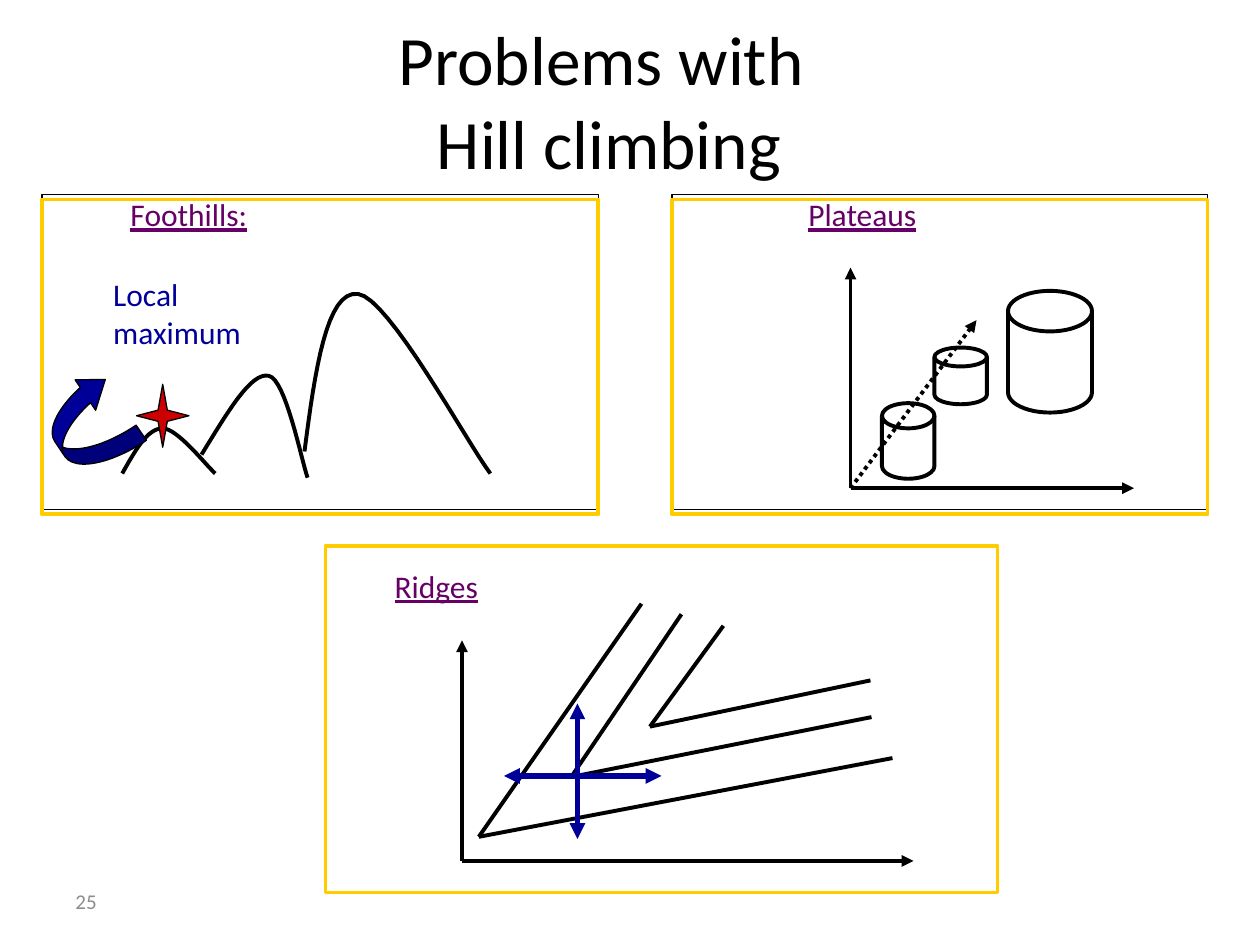
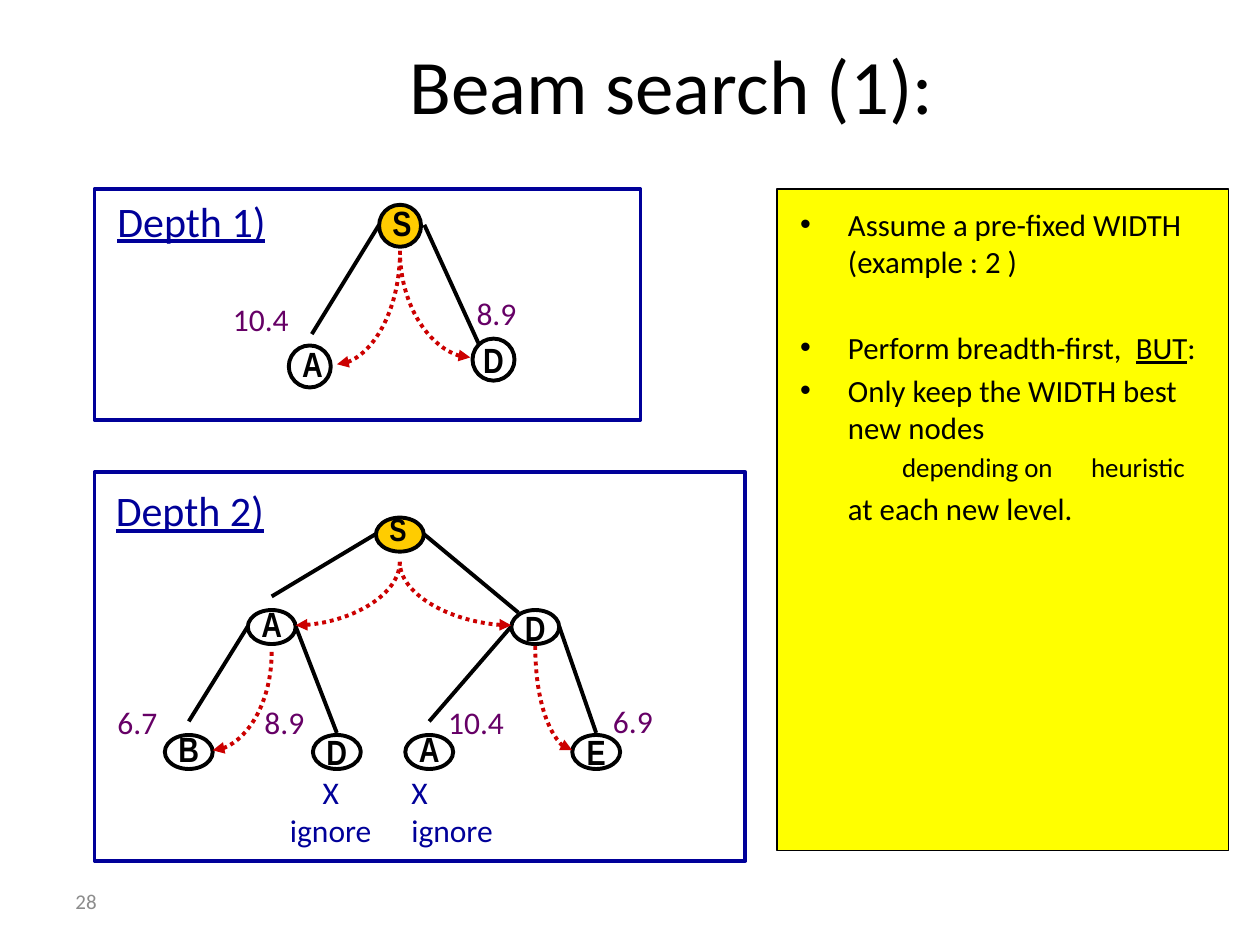
from dataclasses import dataclass

from pptx import Presentation
from pptx.dml.color import RGBColor
from pptx.enum.dml import MSO_LINE
from pptx.enum.shapes import MSO_CONNECTOR, MSO_SHAPE
from pptx.enum.text import MSO_ANCHOR, MSO_AUTO_SIZE, PP_ALIGN
from pptx.oxml.ns import qn
from pptx.util import Inches, Pt
from lxml import etree

RECT, OVAL = MSO_SHAPE.RECTANGLE, MSO_SHAPE.OVAL
STAR, DISK = MSO_SHAPE.STAR_4_POINT, MSO_SHAPE.FLOWCHART_MAGNETIC_DISK
CURVED_ARROW = MSO_SHAPE.CURVED_DOWN_ARROW
STRAIGHT, CURVE = MSO_CONNECTOR.STRAIGHT, MSO_CONNECTOR.CURVE
DOTTED = MSO_LINE.ROUND_DOT
LEFT, CENTER = PP_ALIGN.LEFT, PP_ALIGN.CENTER
MIDDLE, TOP = MSO_ANCHOR.MIDDLE, MSO_ANCHOR.TOP
TITLE_AND_BODY, TITLE_ONLY = 1, 5
CELL = Inches(1) / 12  # the slide is 120 columns by 90 rows


@dataclass(frozen=True)
class Theme:
    font: str = "Calibri"
    node_font: str = "Arial Narrow"
    black: str = "000000"
    white: str = "FFFFFF"
    gray: str = "8C8C8C"
    purple: str = "660066"
    navy: str = "000099"
    red: str = "CC0000"
    gold: str = "FFCC00"
    yellow: str = "FFFF00"
    thin: float = 0.75
    medium: float = 2.25
    thick: float = 3
    number: float = 12
    label: float = 18
    node: float = 20
    heading: float = 24
    body: float = 17.6
    sub_body: float = 15.4


THEME = Theme()


@dataclass(frozen=True)
class Box:
    """A rectangle measured in grid cells."""
    left: float
    top: float
    width: float
    height: float

    def inner(self, left, top, width, height):
        return Box(self.left + left, self.top + top, width, height)

    def point(self, column, row):
        return self.left + column, self.top + row

    def share(self, across, down):
        return self.left + across * self.width, self.top + down * self.height

    def emu(self):
        return cells(self.left, self.top, self.width, self.height)


def cells(*counts):
    return [round(count * CELL) for count in counts]


def color(code):
    return RGBColor.from_string(code)


def style_font(para, size, code, font=THEME.font, bold=False, underline=False):
    for span in para.runs:
        span.font.size, span.font.name = Pt(size), font
        span.font.color.rgb = color(code)
        span.font.bold, span.font.underline = bold, underline


def add_label(page, box, text, size=THEME.label, code=THEME.purple,
              align=LEFT, anchor=TOP, **font_style):
    frame = page.shapes.add_textbox(*box.emu()).text_frame
    frame.word_wrap, frame.vertical_anchor = True, anchor
    frame.text = text
    for para in frame.paragraphs:
        para.alignment = align
        style_font(para, size, code, **font_style)


def style_outline(shape, fill=None, line=THEME.black, weight=THEME.medium):
    shape.shadow.inherit = False
    if fill:
        shape.fill.solid()
        shape.fill.fore_color.rgb = color(fill)
    else:
        shape.fill.background()
    shape.line.color.rgb = color(line)
    shape.line.width = Pt(weight)


def add_figure(page, kind, box, **outline):
    shape = page.shapes.add_shape(kind, *box.emu())
    style_outline(shape, **outline)
    return shape


def add_line(page, start, end, kind=STRAIGHT, code=THEME.black,
             weight=THEME.medium, dash=None, ends=()):
    """Draw a connector; ends names its arrowheads, headEnd and/or tailEnd."""
    connector = page.shapes.add_connector(kind, *cells(*start, *end))
    connector.line.color.rgb = color(code)
    connector.line.width = Pt(weight)
    if dash:
        connector.line.dash_style = dash
    properties = connector._element.spPr
    for end_name in ends:
        etree.SubElement(properties.find(qn("a:ln")), qn(f"a:{end_name}"), type="triangle")
    etree.SubElement(properties, qn("a:effectLst"))
    return connector


def add_bend(page, start, end):
    """Dotted arrow that leaves start downwards and enters end sideways."""
    connector = add_line(page, end, start, CURVE, THEME.red, dash=DOTTED, ends=["headEnd"])
    connector._element.spPr.find(qn("a:prstGeom")).set("prst", "curvedConnector2")


def bezier(points, steps=16):
    """Points along joined cubic curves, each sharing its end with the next."""
    track = [points[0]]
    for first in range(0, len(points) - 1, 3):
        a, b, c, d = points[first:first + 4]
        for step in range(1, steps + 1):
            t = step / steps
            weights = (1 - t) ** 3, 3 * t * (1 - t) ** 2, 3 * t * t * (1 - t), t ** 3
            track.append(tuple(sum(w * p[axis] for w, p in zip(weights, (a, b, c, d)))
                               for axis in (0, 1)))
    return track


def add_hill(page, box, points):
    track = [cells(*box.point(*spot)) for spot in bezier(points)]
    builder = page.shapes.build_freeform(*track[0])
    builder.add_line_segments(track[1:], close=False)
    style_outline(builder.convert_to_shape())


def add_axes(page, box, origin, right, top):
    for end in ((right, origin[1]), (origin[0], top)):
        add_line(page, box.point(*origin), box.point(*end), ends=["tailEnd"])


def add_page(deck, layout, title, box, size, number):
    page = deck.slides.add_slide(deck.slide_layouts[layout])
    heading = page.shapes.title
    heading.left, heading.top, heading.width, heading.height = box.emu()
    frame = heading.text_frame
    frame.text, frame.vertical_anchor = title, MIDDLE
    frame.auto_size = MSO_AUTO_SIZE.NONE
    frame.paragraphs[0].alignment = CENTER
    style_font(frame.paragraphs[0], size, THEME.black)
    add_label(page, Box(6, 83.4, 28, 4.8), number, THEME.number, THEME.gray, anchor=MIDDLE)
    return page


def add_panel(page, box, rise=0):
    add_figure(page, RECT, box.inner(0, -rise, box.width, box.height),
               fill=THEME.white, weight=THEME.thin)


def add_frame(page, box):
    add_figure(page, RECT, box, line=THEME.gold)


def draw_foothills(page, box):
    add_panel(page, box, 0.45)
    hills = (
        [(7.64, 26.1), (8.84, 24), (10, 21.8), (11.5, 21.8),
         (12.9, 21.8), (15.7, 25.4), (16.5, 26.1)],
        [(15.2, 24.3), (17.6, 20.4), (19.9, 16.4), (21.6, 16.8),
         (23.2, 17.1), (24.7, 24.8), (25.3, 26.5)],
        [(25, 24), (26, 16.3), (27.1, 8.6), (30.1, 9),
         (33, 9.3), (40.5, 23.2), (42.7, 26.1)],
    )
    for hill in hills:
        add_hill(page, box, hill)
    add_label(page, box.inner(7.25, -1, 18, 5.6), "Foothills:", underline=True)
    add_label(page, box.inner(5.6, 6.6, 18, 10), "Local\nmaximum", code=THEME.navy)
    arrow = add_figure(page, CURVED_ARROW, box.inner(0.1, 17.7, 8.75, 7.3),
                       fill=THEME.navy, weight=THEME.thin)
    arrow.rotation = 236
    for index, value in enumerate((0.24, 0.48, 0.33)):
        arrow.adjustments[index] = value
    star = add_figure(page, STAR, box.inner(9, 17.6, 5, 6), fill=THEME.red, weight=THEME.thin)
    star.adjustments[0] = 0.125
    add_frame(page, box)


def draw_plateaus(page, box):
    add_panel(page, box, 0.45)
    for disk in ((20, 19.4, 5, 7.2), (32, 8.7, 8, 11.6), (25, 14.1, 5, 5.4)):
        add_figure(page, DISK, box.inner(*disk))
    origin = (17, 27.5)
    add_axes(page, box, origin, 44, 6.5)
    add_line(page, box.point(*origin), box.point(29, 11.5), dash=DOTTED, ends=["tailEnd"])
    add_label(page, box.inner(11.8, -1, 16.5, 5.6), "Plateaus", underline=True)
    add_frame(page, box)


def draw_ridges(page, box):
    add_panel(page, box)
    ridges = (((37.9, 7.6), (30.9, 17.2), (51.9, 12.8)),
              ((33.9, 6.5), (23.4, 22), (52, 16.3)),
              ((30.1, 5.5), (14.6, 27.7), (54, 20.2)))
    for upper, corner, lower in ridges:
        for tip in (upper, lower):
            add_line(page, box.point(*corner), box.point(*tip))
    add_axes(page, box, (13, 30), 56, 9)
    add_label(page, box.inner(5.4, 1.4, 14, 5.6), "Ridges", underline=True)
    for start, end in (((17, 21.9), (32, 21.9)), ((24, 27.9), (24, 15))):
        add_line(page, box.point(*start), box.point(*end), code=THEME.navy,
                 weight=THEME.thick, ends=["headEnd", "tailEnd"])
    add_frame(page, box)


def draw_tree(page, box, heading, heading_at, node_size, label_rise, nodes, edges, bends, costs):
    """nodes: key -> (letter, column, row, label size or None for text inside the node)."""
    add_figure(page, RECT, box, fill=THEME.white, line=THEME.navy)
    places = {}
    for key, (letter, column, row, label_size) in nodes.items():
        place = places[key] = box.inner(column, row, *node_size)
        oval = add_figure(page, OVAL, place, fill=THEME.gold if key == "S" else None)
        if label_size:
            add_label(page, place.inner(0.1, -label_rise, 4.4, 5.2), letter, label_size,
                      THEME.black, font=THEME.node_font, bold=True)
        else:
            frame = oval.text_frame
            frame.word_wrap, frame.vertical_anchor = False, MIDDLE
            frame.text = letter
            frame.paragraphs[0].alignment = CENTER
            style_font(frame.paragraphs[0], THEME.node, THEME.black, THEME.node_font, True)
    for parent, side, child, entry in edges:
        add_line(page, places[parent].share(side, 0.48), places[child].share(*entry))
    for parent, drop, child, side in bends:
        add_bend(page, places[parent].share(0.5, drop), places[child].share(side, 0.45))
    for cost, column, row in costs:
        add_label(page, box.inner(column, row, 9.5, 5.6), cost)
    add_label(page, box.inner(*heading_at, 19, 6), heading, THEME.heading,
              THEME.navy, underline=True)


def draw_depth_one(page, box):
    draw_tree(
        page, box, "Depth 1)", (1, 0), (4, 4), 0.9,
        nodes={"S": ("S", 27.1, 1.5, THEME.node), "A": ("A", 18.5, 14.9, THEME.node),
               "D": ("D", 36, 14.25, None)},
        edges=[("S", 0, "A", (0.55, -0.27)), ("S", 1.08, "D", (0.15, 0.13))],
        bends=[("S", 1.1, "A", 1.15), ("S", 1.1, "D", -0.05)],
        costs=[("10.4", 12, 10), ("8.9", 35.2, 9.4)])


def draw_depth_two(page, box):
    above, top, corner = (0.5, -0.4), (0.5, -0.06), (0.15, 0.08)
    draw_tree(
        page, box, "Depth 2)", (0.85, 0.6), (4.56, 3.24), 1.35,
        nodes={"S": ("S", 26.8, 4.3, THEME.label), "A": ("A", 14.6, 13.1, THEME.node),
               "D": ("D", 39.7, 13.1, None), "AB": ("B", 6.7, 25, THEME.node),
               "AD": ("D", 20.8, 25, None), "DA": ("A", 29.6, 25, THEME.node),
               "DE": ("E", 45.5, 25, None)},
        edges=[("S", 0, "A", above), ("S", 1, "D", corner), ("A", 0, "AB", above),
               ("A", 1, "AD", top), ("D", 0, "DA", above), ("D", 1, "DE", top)],
        bends=[("S", 1.3, "A", 1), ("S", 1.3, "D", 0),
               ("A", 1.22, "AB", 1), ("D", 1.05, "DE", 0)],
        costs=[("6.7", 1, 21.4), ("8.9", 15, 21.4), ("10.4", 32.5, 21.4), ("6.9", 48.2, 21.3)])
    for column, align in ((16, CENTER), (29, LEFT)):
        add_label(page, box.inner(column, 28, 13, 10), "X\nignore", code=THEME.navy, align=align)


def fill_notes(page, box):
    """Yellow panel with the body list: text parts, left indent, hanging, size, space before."""
    add_figure(page, RECT, box, fill=THEME.yellow, weight=THEME.thin)
    body = page.placeholders[1]
    body.left, body.top, body.width, body.height = box.inner(1, 1, 42, 33).emu()
    page.shapes._spTree.append(body._element)
    frame = body.text_frame
    frame.auto_size = MSO_AUTO_SIZE.NONE
    items = (
        (["Assume a pre-fixed WIDTH (example : 2 )"], 0.38, True, THEME.body, 3.5),
        (["Perform breadth-first,  ", "BUT", ":"], 0.38, True, THEME.body, 28),
        (["Only keep the WIDTH best new nodes"], 0.38, True, THEME.body, 3.5),
        (["depending on\theuristic"], 0.81, False, THEME.sub_body, 3),
        (["at each new level."], 0.38, False, THEME.body, 3.5),
    )
    for index, (parts, indent, bulleted, size, before) in enumerate(items):
        para = frame.add_paragraph() if index else frame.paragraphs[0]
        for part in parts:
            para.add_run().text = part
        style_font(para, size, THEME.black)
        for span in para.runs:
            span.font.underline = span.text == "BUT"
        para.space_before = Pt(before)
        properties = para._p.get_or_add_pPr()
        properties.set("marL", str(Inches(indent)))
        properties.set("indent", str(-Inches(indent) if bulleted else 0))
        if bulleted:
            etree.SubElement(properties, qn("a:buChar"), char="•")
        else:
            etree.SubElement(properties, qn("a:buNone"))
            stops = etree.SubElement(properties, qn("a:tabLst"))
            etree.SubElement(stops, qn("a:tab"), pos=str(Inches(2.48)), algn="l")


def main():
    deck = Presentation()
    deck.slide_width, deck.slide_height = cells(120, 90)

    page = add_page(deck, TITLE_ONLY, "Problems with \vHill climbing",
                    Box(7, 2, 102, 15), 39.6, "25")
    draw_foothills(page, Box(4, 19, 53, 30))
    draw_plateaus(page, Box(64, 19, 51, 30))
    draw_ridges(page, Box(31, 52, 64, 33))

    page = add_page(deck, TITLE_AND_BODY, "Beam search (1):", Box(27, 2, 74, 12), 44, "28")
    fill_notes(page, Box(74, 18, 43, 63))
    draw_depth_two(page, Box(9, 45, 62, 37))
    draw_depth_one(page, Box(9, 18, 52, 22))
    deck.save("out.pptx")


if __name__ == "__main__":
    main()
